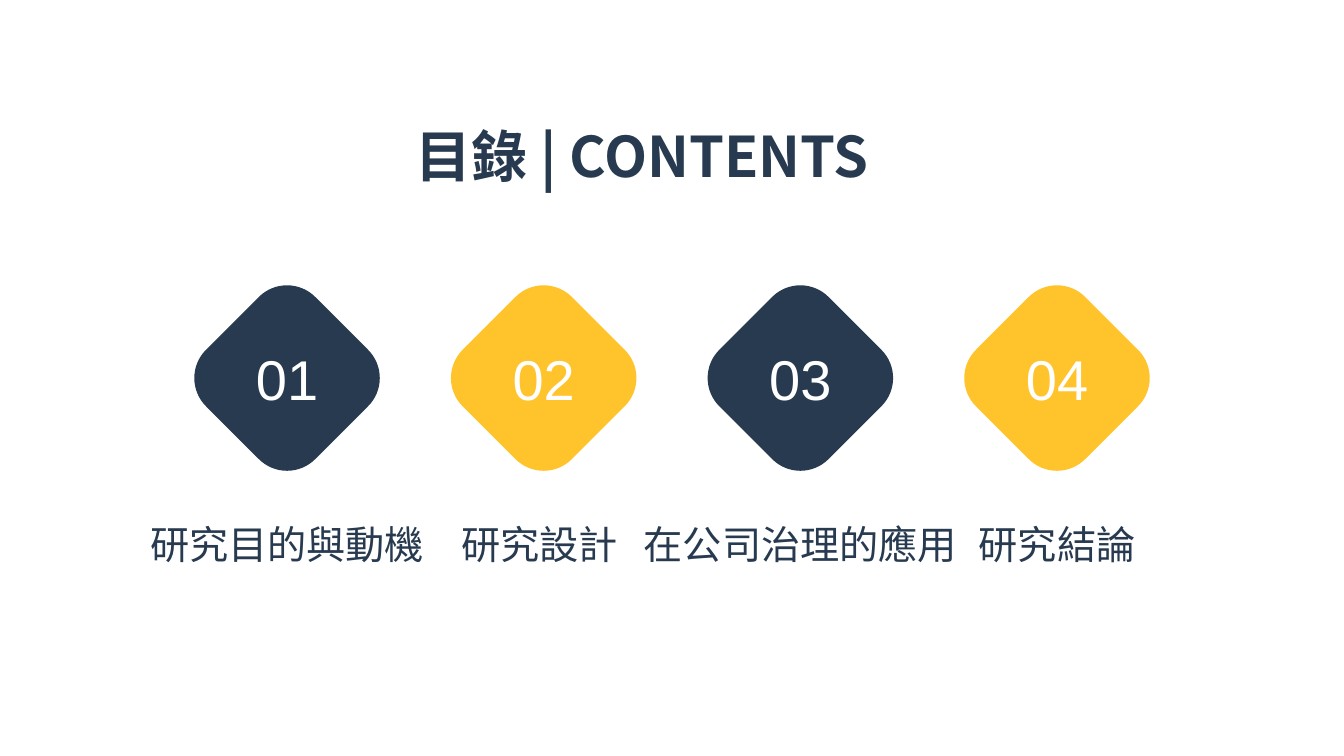
from dataclasses import dataclass
from math import cos, radians, sin, tan

from pptx import Presentation
from pptx.dml.color import RGBColor as Color
from pptx.enum.text import MSO_ANCHOR as Anchor, MSO_AUTO_SIZE as AutoSize, PP_ALIGN as Align
from pptx.oxml.ns import qn
from pptx.util import Pt


@dataclass(frozen=True)
class Theme:
    """Colours, fonts and type sizes of the slide."""
    navy: Color = Color.from_string("273A4F")
    yellow: Color = Color.from_string("FFC32B")
    white: Color = Color.from_string("FFFFFF")
    text_font: str = "Noto Sans CJK SC"
    number_font: str = "Arial"
    title_size: int = 40
    number_size: int = 40
    label_size: int = 28


THEME = Theme()
CHAPTERS = ["研究目的與動機", "研究設計 ", "在公司治理的應用", "研究結論"]


def style_paragraph(paragraph, font_name, size, color, bold=False, align=Align.LEFT):
    """Set the alignment and the Latin and East Asian font of a paragraph."""
    paragraph.alignment = align
    font = paragraph.font
    font.name, font.size, font.bold = font_name, Pt(size), bold
    font.color.rgb = color
    for run in paragraph.runs:
        run.font.name = font_name
        latin = run.font._element.find(qn("a:latin"))
        latin.addnext(latin.makeelement(qn("a:ea"), {"typeface": font_name}))


def add_text(slide, text, box, size, bold=False, align=Align.LEFT):
    """Add one unwrapped line of navy text in the box."""
    shape = slide.shapes.add_textbox(*map(Pt, box))
    frame = shape.text_frame
    frame.word_wrap = False
    frame.auto_size = AutoSize.SHAPE_TO_FIT_TEXT
    frame.text = text
    style_paragraph(frame.paragraphs[0], THEME.text_font, size, THEME.navy, bold, align)


def diamond_points(box):
    """Return seven points per corner: two Bezier curves of 45 degrees each."""
    left, top, side, _ = box
    half = side / 2
    radius = 0.43 * half
    handle = radius * 4 / 3 * tan(radians(11.25))
    points = []
    for corner in (0, 90, 180, 270):
        center_x = left + half + (half - radius) * cos(radians(corner))
        center_y = top + half + (half - radius) * sin(radians(corner))
        # Each pair is an angle on the arc and the handle length along its tangent.
        for turn, along in ((-45, 0), (-45, handle), (0, -handle), (0, 0),
                            (0, handle), (45, -handle), (45, 0)):
            angle = radians(corner + turn)
            points.append((Pt(center_x + radius * cos(angle) - along * sin(angle)),
                           Pt(center_y + radius * sin(angle) + along * cos(angle))))
    return points


def round_corners(shape):
    """Turn the six segments of each corner into two cubic curves."""
    segments = list(shape._element.iter(qn("a:lnTo")))
    for first in range(0, 28, 7):
        for start in (first, first + 3):
            curve = segments[start].makeelement(qn("a:cubicBezTo"), {})
            segments[start].addprevious(curve)
            for segment in segments[start:start + 3]:
                curve.append(segment[0])
                segment.getparent().remove(segment)


def add_diamond(slide, number, box, color):
    """Add a numbered diamond with rounded corners that fills the square box."""
    points = diamond_points(box)
    builder = slide.shapes.build_freeform(*points[0])
    builder.add_line_segments(points[1:], close=True)
    shape = builder.convert_to_shape()
    round_corners(shape)
    shape.shadow.inherit = False
    shape.fill.solid()
    shape.fill.fore_color.rgb = color
    shape.line.fill.background()
    frame = shape.text_frame
    frame.vertical_anchor = Anchor.MIDDLE
    frame.text = f"{number:02}"
    style_paragraph(frame.paragraphs[0], THEME.number_font, THEME.number_size,
                    THEME.white, align=Align.CENTER)


def add_chapters(slide, box):
    """Spread the diamonds evenly over the box, each with its label centred below."""
    left, top, width, height = box
    side, label_height, label_margin, space_width = 132.5, 41, 15.5, 0.3
    pitch = (width - side) / (len(CHAPTERS) - 1)
    for index, label in enumerate(CHAPTERS):
        diamond_left = left + index * pitch
        color = THEME.yellow if index % 2 else THEME.navy
        add_diamond(slide, index + 1, (diamond_left, top, side, side), color)
        spaces = label.count(" ")
        ems = len(label) - spaces + spaces * space_width
        label_width = ems * THEME.label_size + label_margin
        label_left = diamond_left + (side - label_width) / 2
        label_top = top + height - label_height
        add_text(slide, label, (label_left, label_top, label_width, label_height),
                 THEME.label_size, align=Align.CENTER)


def build_contents_slide(presentation):
    """Add the contents slide with its title and chapter row."""
    slide = presentation.slides.add_slide(presentation.slide_layouts[6])
    add_text(slide, "目錄 | CONTENTS", (290, 83.5, 359, 55.5), THEME.title_size, bold=True)
    add_chapters(slide, (138.8, 203.8, 682.5, 205))


presentation = Presentation()
presentation.slide_width, presentation.slide_height = Pt(960), Pt(540)
build_contents_slide(presentation)
presentation.save("out.pptx")
